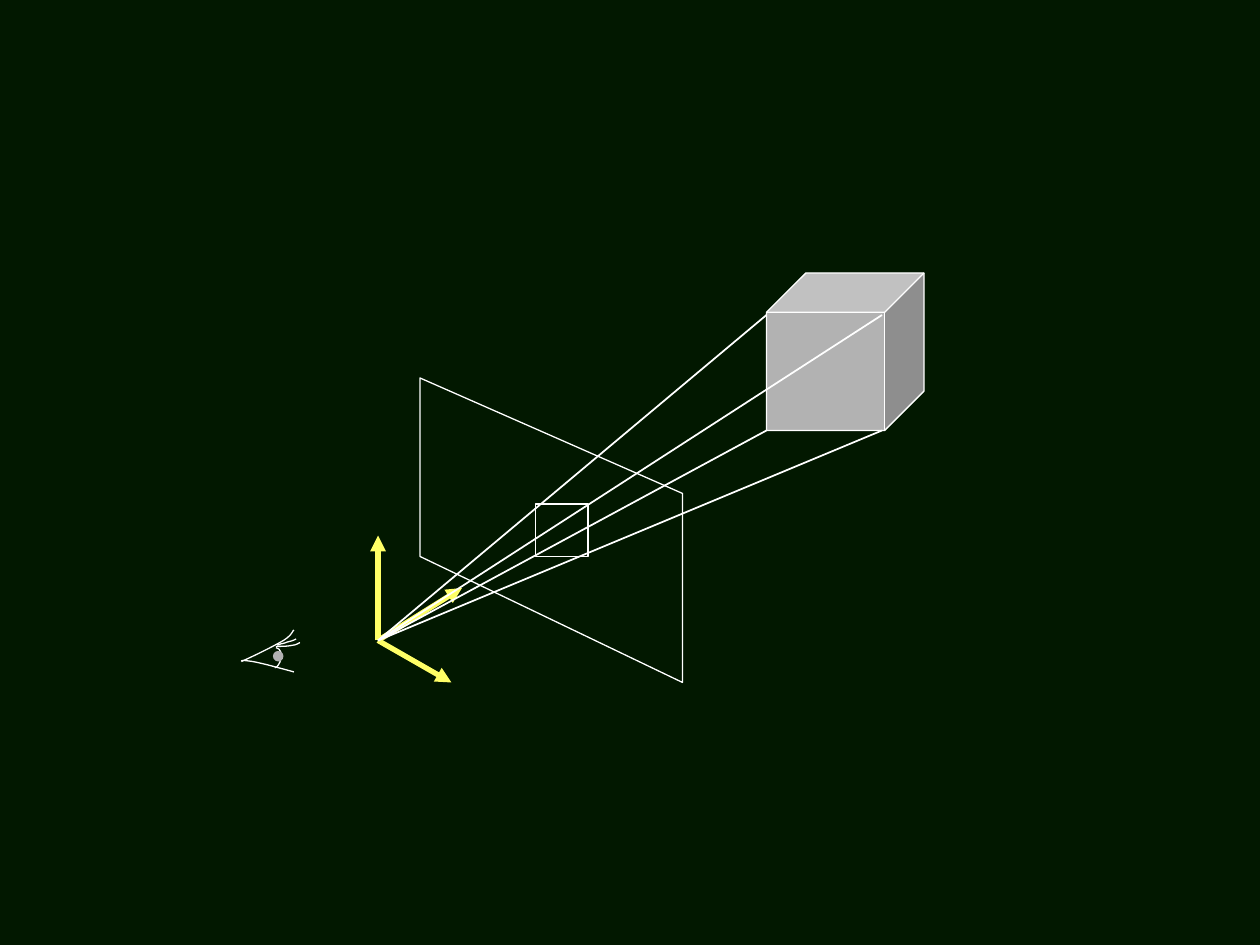
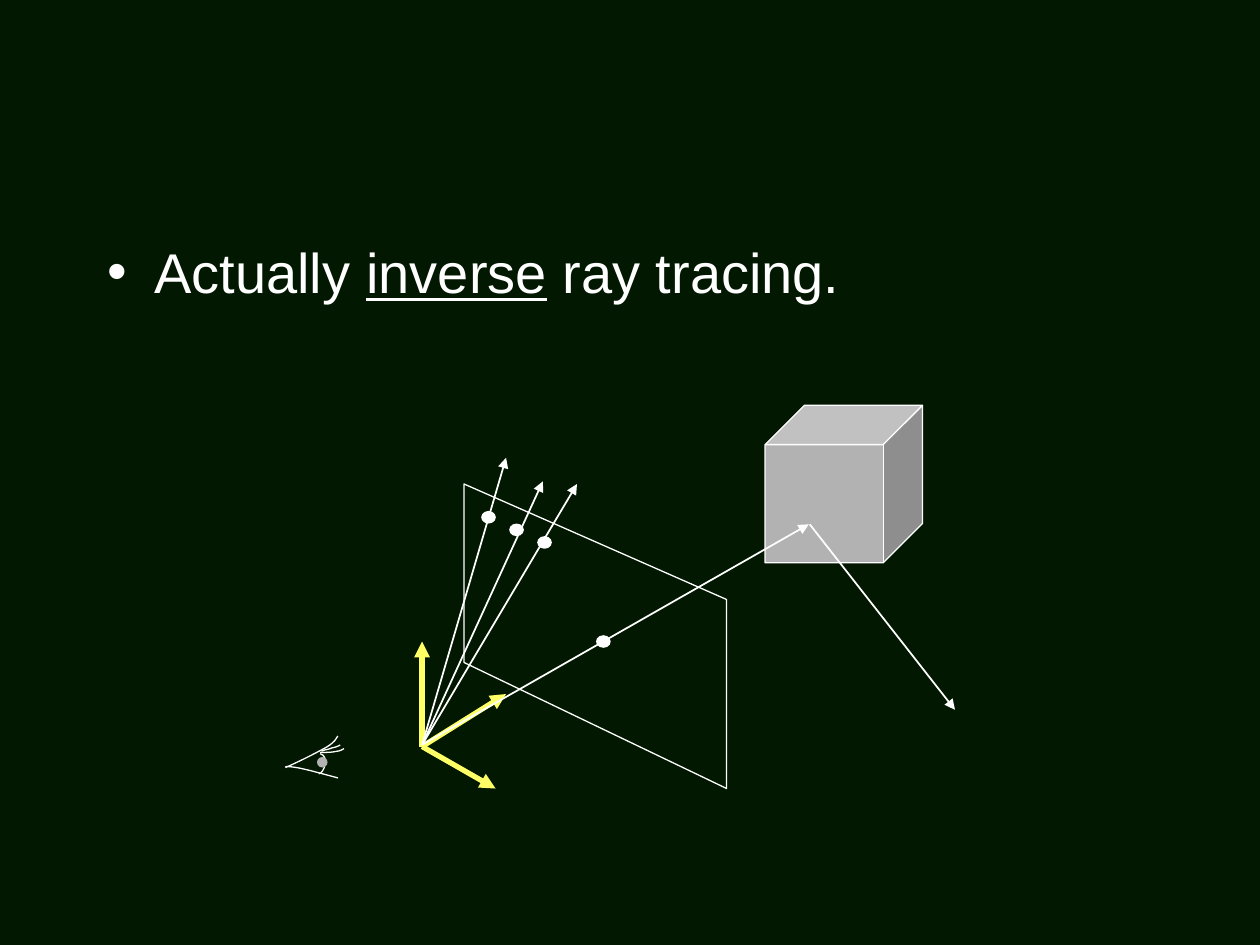
from itertools import product
from typing import NamedTuple

from pptx import Presentation
from pptx.dml.color import RGBColor
from pptx.enum.shapes import MSO_CONNECTOR, MSO_SHAPE
from pptx.oxml.ns import qn
from pptx.oxml.xmlchemy import OxmlElement
from pptx.slide import Slide
from pptx.util import Pt

NIGHT_GREEN = RGBColor(0x02, 0x18, 0x00)
WHITE = RGBColor(0xFF, 0xFF, 0xFF)
GRAY = RGBColor(0xB2, 0xB2, 0xB2)
YELLOW = RGBColor(0xFF, 0xFF, 0x66)
FONT = "Arial"
CURVE_STEPS = 8


class Point(NamedTuple):
    x: float
    y: float

    def offset(self, dx: float, dy: float) -> "Point":
        return Point(self.x + dx, self.y + dy)


class Arrow(NamedTuple):
    start: Point
    tip: Point
    color: RGBColor = WHITE
    weight: float = 1
    has_head: bool = True


class Solid(NamedTuple):
    preset: MSO_SHAPE
    corner: Point
    width: float
    height: float
    fill: RGBColor
    outlined: bool = False


AXIS_TIPS = [(48, -30), (0, -60), (42, 24)]
IMAGE_PLANE = [(24, -150), (174, -84), (174, 24), (24, -48)]
PROJECTED_FACE = [(90, -48), (90, -78), (120, -78), (120, -48)]
UPPER_LID = [(-78, 12), (-68.4, 7.7), (-59, 2.9), (-54, 0),
             (-49, -3.1), (-49, -5.3), (-48, -6)]
LOWER_LID = [(-78, 12), (-78, 11.3), (-77, 11.3), (-72, 12),
             (-67, 12.7), (-51.8, 17), (-48, 18)]
IRIS = [(-58.3, 4.1), (-52.6, 5.5), (-56.2, 15.6), (-59, 15.6)]
LOWER_LASH = [(-58.3, 3.4), (-54.7, 3.4), (-51.8, 3.4), (-48, 2.6),
              (-46.8, 2.6), (-44.6, 1.2), (-44.6, 1.2)]
MIDDLE_LASH = [(-57.6, 2.6), (-54, 1.9), (-57.6, 2.6), (-55.4, 1.9),
               (-54.7, 1.9), (-52.6, 1.2), (-52.6, 1.2),
               (-51.1, 0.5), (-49, 0.5), (-46.8, -0.9)]
EYE_STROKES = [UPPER_LID, LOWER_LID, IRIS, LOWER_LASH, MIDDLE_LASH]

CUBE_CORNERS = product((222, 288), (-186, -120))
PIXEL_RAY_TIPS = [(48, -165), (69, -151.5), (88.5, -150), (221, -127)]
PIXELS = [(38 + 16 * i, -131 + 7.2 * i) for i in range(3)] + [(103.6, -60)]
HIT = (221.5, -127)
BOUNCE_TIP = (304.5, -21)


def sample_curve(controls: list[tuple[float, float]]) -> list[tuple[float, float]]:
    samples = [controls[0]]
    for first in range(0, len(controls) - 1, 3):
        segment = controls[first:first + 4]
        for step in range(1, CURVE_STEPS + 1):
            t = step / CURVE_STEPS
            weights = ((1 - t) ** 3, 3 * t * (1 - t) ** 2, 3 * t * t * (1 - t), t ** 3)
            samples.append((sum(w * x for w, (x, _) in zip(weights, segment)),
                            sum(w * y for w, (_, y) in zip(weights, segment))))
    return samples


def draw_outline(slide: Slide, origin: Point, offsets: list[tuple[float, float]],
                 closed: bool) -> None:
    vertices = [(Pt(x), Pt(y)) for x, y in (origin.offset(*o) for o in offsets)]
    builder = slide.shapes.build_freeform(*vertices[0])
    builder.add_line_segments(vertices[1:], close=closed)
    outline = builder.convert_to_shape()
    outline.shadow.inherit = False
    outline.fill.background()
    outline.line.color.rgb = WHITE
    outline.line.width = Pt(0.75)


def draw_solid(slide: Slide, solid: Solid) -> None:
    shape = slide.shapes.add_shape(solid.preset, Pt(solid.corner.x), Pt(solid.corner.y),
                                   Pt(solid.width), Pt(solid.height))
    shape.shadow.inherit = False
    shape.fill.solid()
    shape.fill.fore_color.rgb = solid.fill
    if solid.outlined:
        shape.line.color.rgb = WHITE
        shape.line.width = Pt(0.75)
    else:
        shape.line.fill.background()


def draw_arrow(slide: Slide, arrow: Arrow) -> None:
    connector = slide.shapes.add_connector(
        MSO_CONNECTOR.STRAIGHT, Pt(arrow.start.x), Pt(arrow.start.y),
        Pt(arrow.tip.x), Pt(arrow.tip.y))
    connector.line.color.rgb = arrow.color
    connector.line.width = Pt(arrow.weight)
    properties = connector._element.spPr
    if arrow.has_head:
        head = OxmlElement("a:tailEnd")
        head.set("type", "triangle")
        properties.find(qn("a:ln")).append(head)
    properties.append(OxmlElement("a:effectLst"))


def draw_camera_scene(slide: Slide, origin: Point, cube_corner: Point) -> None:
    draw_solid(slide, Solid(MSO_SHAPE.CUBE, cube_corner, 90, 90, GRAY, True))
    for tip in AXIS_TIPS:
        draw_arrow(slide, Arrow(origin, origin.offset(*tip), YELLOW, 3))
    for stroke in EYE_STROKES:
        draw_outline(slide, origin, sample_curve(stroke), False)
    draw_solid(slide, Solid(MSO_SHAPE.OVAL, origin.offset(-60, 6), 6, 6, GRAY))
    draw_outline(slide, origin, IMAGE_PLANE, True)


def write_statement(slide: Slide) -> None:
    body = slide.placeholders[1]
    body.left, body.top, body.width, body.height = Pt(54), Pt(132), Pt(612), Pt(348)
    statement = body.text_frame.paragraphs[0]
    properties = statement._p.get_or_add_pPr()
    properties.set("marL", str(Pt(27)))
    properties.set("indent", str(Pt(-27)))
    bullet_color = OxmlElement("a:buClr")
    white = OxmlElement("a:srgbClr")
    white.set("val", str(WHITE))
    bullet_color.append(white)
    bullet = OxmlElement("a:buChar")
    bullet.set("char", "•")
    properties.extend([bullet_color, bullet])
    statement.space_before = Pt(0)
    for words in ("Actually ", "inverse", " ray tracing."):
        run = statement.add_run()
        run.text = words
        run.font.name = FONT
        run.font.size = Pt(32)
        run.font.color.rgb = WHITE
        run.font.underline = words == "inverse"


def build_projection_slide(slide: Slide) -> None:
    origin = Point(216, 366)
    draw_camera_scene(slide, origin, Point(438, 156))
    for corner in CUBE_CORNERS:
        draw_arrow(slide, Arrow(origin, origin.offset(*corner), has_head=False))
    draw_outline(slide, origin, PROJECTED_FACE, True)


def build_ray_tracing_slide(slide: Slide) -> None:
    title = slide.shapes.title._element
    title.getparent().remove(title)
    write_statement(slide)
    origin = Point(241.2, 426.6)
    draw_camera_scene(slide, origin, Point(437.2, 231.6))
    for tip in PIXEL_RAY_TIPS:
        draw_arrow(slide, Arrow(origin.offset(0, -1), origin.offset(*tip)))
    for x, y in PIXELS:
        draw_solid(slide, Solid(MSO_SHAPE.OVAL, origin.offset(x - 4.2, y - 3.6),
                                8.4, 7.2, WHITE))
    draw_arrow(slide, Arrow(origin.offset(*HIT), origin.offset(*BOUNCE_TIP)))


def main() -> None:
    deck = Presentation()
    deck.slide_width, deck.slide_height = Pt(720), Pt(540)
    backdrop = deck.slide_master.background.fill
    backdrop.solid()
    backdrop.fore_color.rgb = NIGHT_GREEN
    build_projection_slide(deck.slides.add_slide(deck.slide_layouts[6]))
    build_ray_tracing_slide(deck.slides.add_slide(deck.slide_layouts[1]))
    deck.save("out.pptx")


if __name__ == "__main__":
    main()
